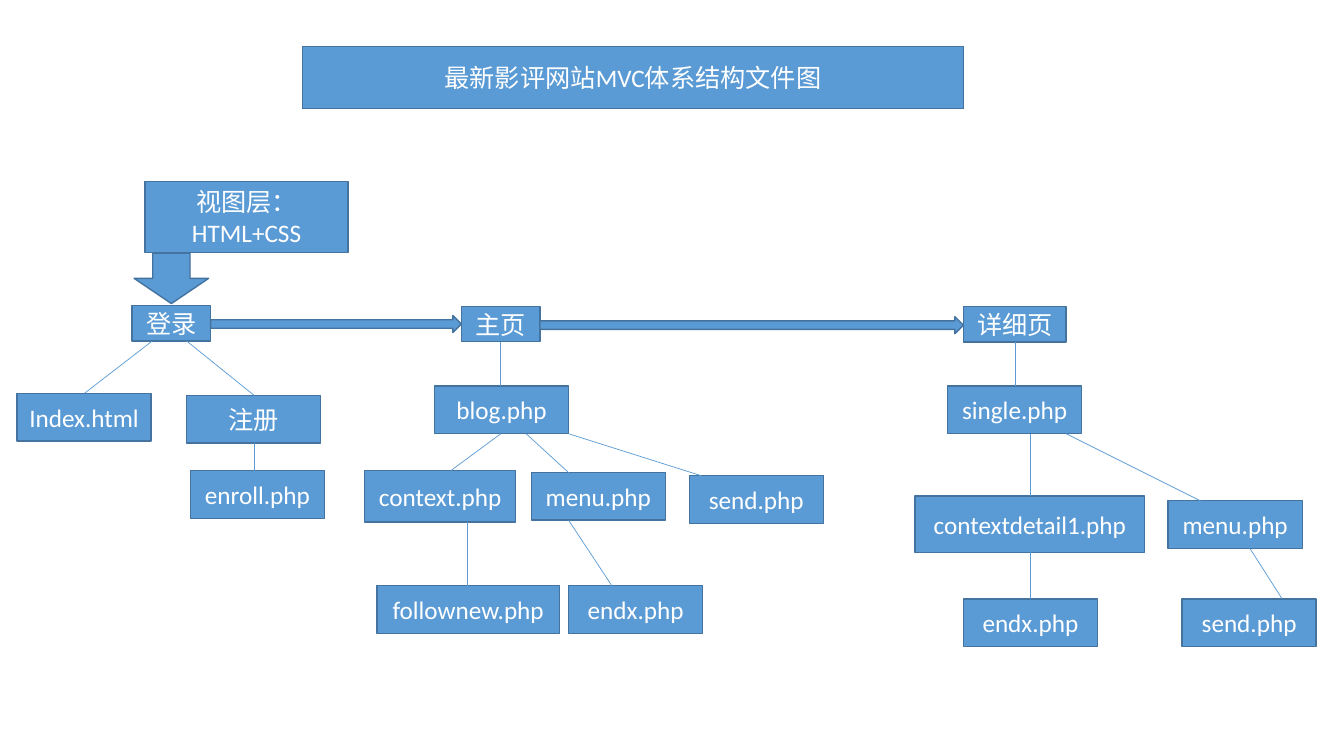
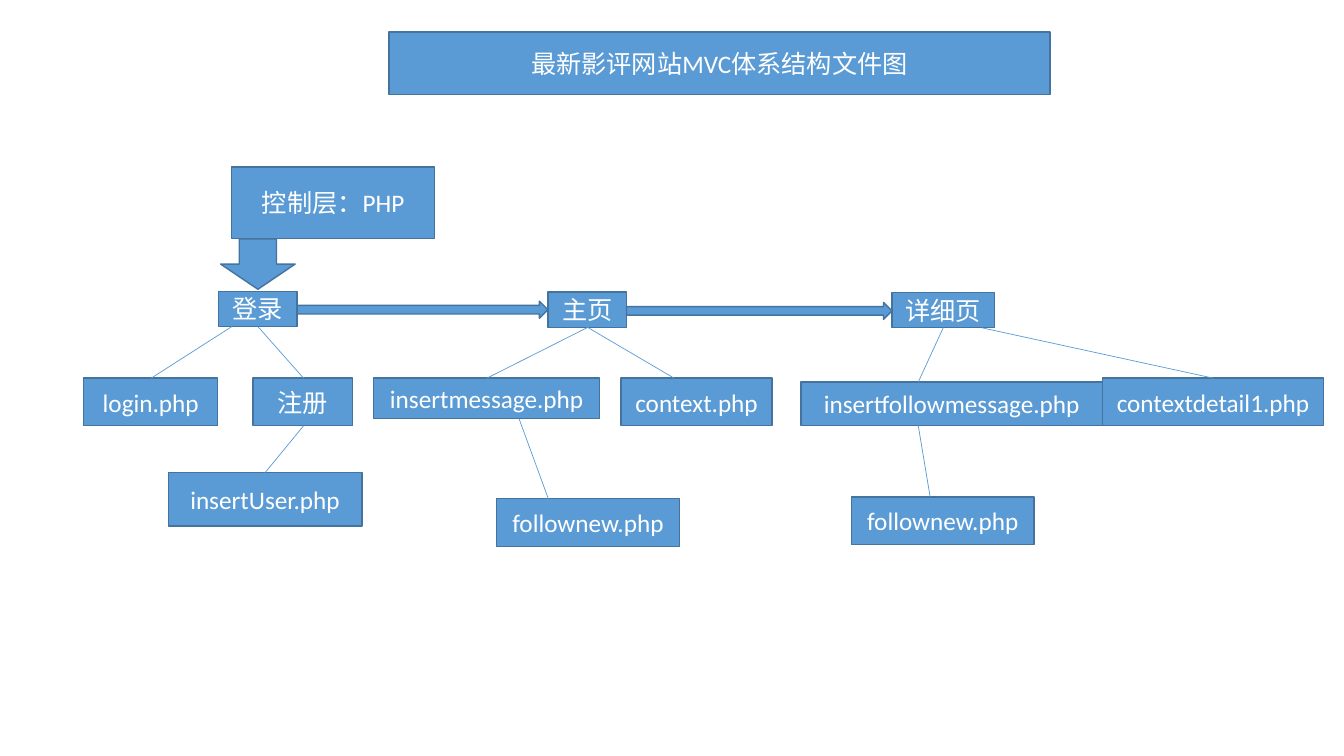
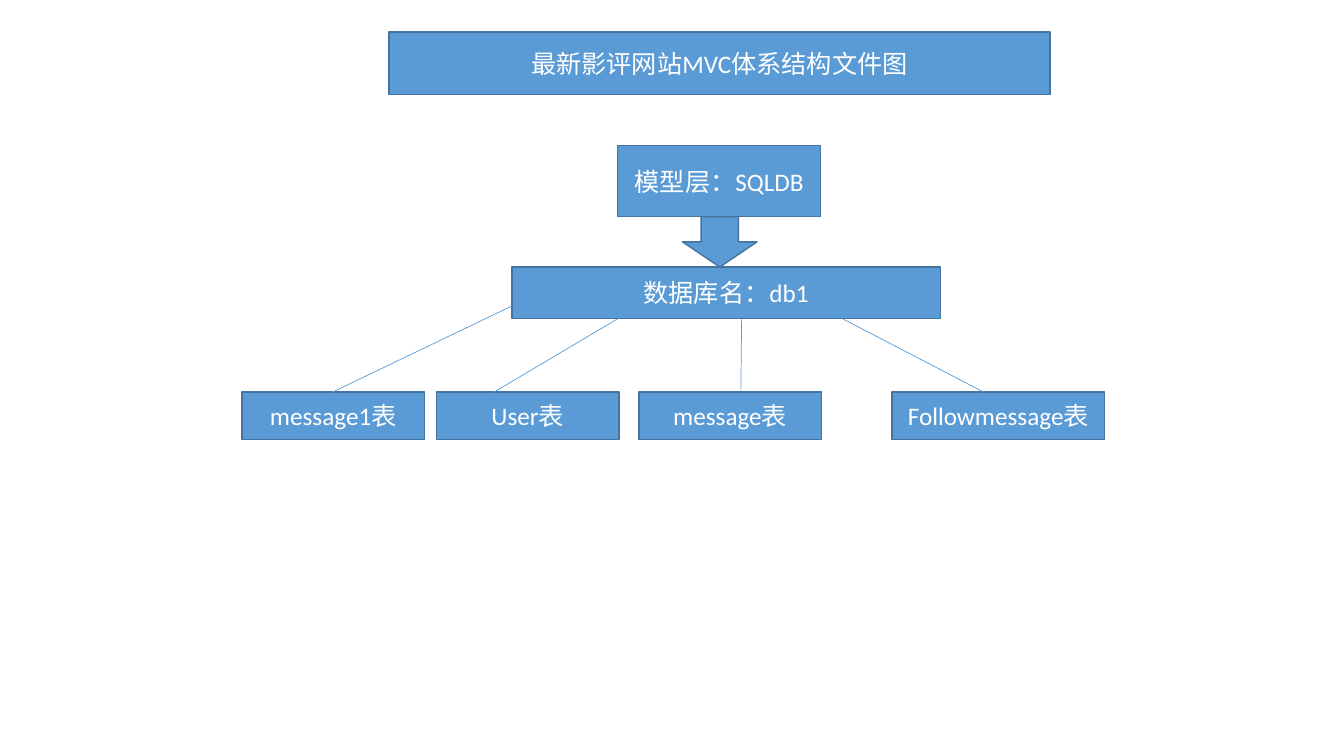
from lxml import etree
from pptx import Presentation
from pptx.dml.color import RGBColor
from pptx.enum.shapes import MSO_CONNECTOR, MSO_SHAPE
from pptx.enum.text import MSO_ANCHOR, PP_ALIGN
from pptx.oxml.ns import qn
from pptx.util import Cm, Pt

RECTANGLE = MSO_SHAPE.RECTANGLE
DOWN_ARROW = MSO_SHAPE.DOWN_ARROW
RIGHT_ARROW = MSO_SHAPE.RIGHT_ARROW
STRAIGHT = MSO_CONNECTOR.STRAIGHT
CENTER = PP_ALIGN.CENTER
MIDDLE = MSO_ANCHOR.MIDDLE

# Shared look; all lengths are in centimetres
BLUE, EDGE, WHITE = "5B9BD5", "43739E", "FFFFFF"
FONT = "Calibri"
TITLE = "最新影评网站MVC体系结构文件图"
TITLE_W, TITLE_H = 16.66, 1.57
LAYER_W, LAYER_H = 5.11, 1.8
PAGE_W, PAGE_H = 1.98, 0.89
FILE_W, FILE_H = 3.38, 1.2
WIDE_W = 4.6
DOWN_W, DOWN_H = 1.88, 1.27
FLOW_H = 0.43


def color(value):
    return RGBColor.from_string(value)


def block(slide, kind, x, y, width, height):
    """Blue shape with a darker outline."""
    shape = slide.shapes.add_shape(kind, Cm(x), Cm(y), Cm(width), Cm(height))
    shape.shadow.inherit = False
    shape.fill.solid()
    shape.fill.fore_color.rgb = color(BLUE)
    shape.line.color.rgb = color(EDGE)
    shape.line.width = Pt(1)
    return shape


def box(slide, text, x, y, width=FILE_W, height=FILE_H):
    """Rectangle with a centred white label."""
    shape = block(slide, RECTANGLE, x, y, width, height)
    frame = shape.text_frame
    frame.word_wrap = True
    frame.vertical_anchor = MIDDLE
    label = frame.paragraphs[0]
    label.text = text
    label.alignment = CENTER
    label.font.name = FONT
    label.font.size = Pt(18)
    label.font.color.rgb = color(WHITE)
    return shape


def line(slide, x1, y1, x2, y2):
    connector = slide.shapes.add_connector(STRAIGHT, x1, y1, x2, y2)
    connector.line.color.rgb = color(BLUE)
    connector.line.width = Pt(0.5)
    etree.SubElement(connector._element.spPr, qn("a:effectLst"))


def link(slide, parent, child, x1, x2):
    """Line from the bottom edge of parent to the top edge of child."""
    line(slide, Cm(x1), parent.top + parent.height, Cm(x2), child.top)


def flow_arrow(slide, start, end, y):
    """Block arrow filling the gap between two pages."""
    left = (start.left + start.width) / Cm(1)
    block(slide, RIGHT_ARROW, left, y, end.left / Cm(1) - left, FLOW_H)


def title_box(slide, x, y):
    box(slide, TITLE, x, y, TITLE_W, TITLE_H)


def page_flow(slide, x, y, layer, detail_x):
    """Title, layer and the three pages, placed relative to the title."""
    title_box(slide, x, y)
    box(slide, layer, x - 3.96, y + 3.4, LAYER_W, LAYER_H)
    block(slide, DOWN_ARROW, x - 4.24, y + 5.21, DOWN_W, DOWN_H)
    login = box(slide, "登录", x - 4.29, y + 6.53, PAGE_W, PAGE_H)
    home = box(slide, "主页", x + 4.01, y + 6.55, PAGE_W, PAGE_H)
    detail = box(slide, "详细页", detail_x, y + 6.56, 2.59, PAGE_H)
    flow_arrow(slide, login, home, y + 6.78)
    flow_arrow(slide, home, detail, y + 6.81)
    return login, home, detail


def view_slide(slide):
    login, home, detail = page_flow(slide, 7.62, 1.17, "视图层：HTML+CSS", 24.28)

    # Login files
    index = box(slide, "Index.html", 0.43, 9.91)
    register = box(slide, "注册", 4.7, 9.96)
    enroll = box(slide, "enroll.php", 4.8, 11.86)

    # Home page files
    blog = box(slide, "blog.php", 10.95, 9.73)
    context = box(slide, "context.php", 9.19, 11.86, 3.81, 1.3)
    home_menu = box(slide, "menu.php", 13.39, 11.91)
    home_send = box(slide, "send.php", 17.37, 11.99)
    follow = box(slide, "follownew.php", 9.5, 14.76, WIDE_W)
    home_end = box(slide, "endx.php", 14.33, 14.76)

    # Detail page files
    single = box(slide, "single.php", 23.88, 9.73)
    context_detail = box(slide, "contextdetail1.php", 23.06, 12.5, 5.79, 1.42)
    detail_menu = box(slide, "menu.php", 29.44, 12.62)
    detail_end = box(slide, "endx.php", 24.28, 15.09)
    detail_send = box(slide, "send.php", 29.79, 15.09)

    for parent, child, x1, x2 in (
        (login, index, 3.84, 2.13),
        (login, register, 4.7, 6.4),
        (register, enroll, 6.4, 6.4),
        (home, blog, 12.62, 12.62),
        (blog, context, 12.62, 11.36),
        (blog, home_menu, 13.26, 14.33),
        (blog, home_send, 14.33, 17.68),
        (context, follow, 11.79, 11.79),
        (home_menu, home_end, 14.33, 15.42),
        (detail, single, 25.58, 25.58),
        (single, context_detail, 25.96, 25.96),
        (single, detail_menu, 26.87, 30.25),
        (context_detail, detail_end, 25.96, 25.96),
        (detail_menu, detail_send, 31.5, 32.31),
    ):
        link(slide, parent, child, x1, x2)


def control_slide(slide):
    login, home, detail = page_flow(slide, 9.8, 0.81, "控制层：PHP", 22.48)
    row_y = 9.53

    # Login files
    login_file = box(slide, "login.php", 2.11, row_y)
    register = box(slide, "注册", 6.38, row_y, 2.51)
    insert_user = box(slide, "insertUser.php", 4.24, 11.91, 4.88, 1.35)

    # Home page files
    insert_message = box(slide, "insertmessage.php", 9.42, row_y, 5.69, 1.02)
    context = box(slide, "context.php", 15.65, row_y, 3.81)
    home_follow = box(slide, "follownew.php", 12.52, 12.57, WIDE_W)

    # Detail page files
    insert_follow = box(slide, "insertfollowmessage.php", 20.19, 9.63, 7.59, 1.09)
    context_detail = box(slide, "contextdetail1.php", 27.79, row_y, 5.56)
    detail_follow = box(slide, "follownew.php", 21.46, 12.52, WIDE_W)

    for parent, child, x1, x2 in (
        (login, login_file, 5.84, 3.81),
        (login, register, 6.5, 7.65),
        (register, insert_user, 7.65, 6.68),
        (home, insert_message, 14.81, 12.27),
        (home, context, 14.81, 16.99),
        (insert_message, home_follow, 13.08, 13.82),
        (detail, insert_follow, 23.77, 23.14),
        (detail, context_detail, 24.74, 30.58),
        (insert_follow, detail_follow, 23.14, 23.44),
    ):
        link(slide, parent, child, x1, x2)


def model_slide(slide):
    title_box(slide, 9.8, 0.81)
    box(slide, "模型层：SQLDB", 15.57, 3.66, LAYER_W, LAYER_H)
    block(slide, DOWN_ARROW, 17.2, 5.46, DOWN_W, DOWN_H)
    database = box(slide, "数据库名：db1", 12.9, 6.73, 10.8, 1.3)

    # Database tables
    row_y = 9.88
    message1 = box(slide, "message1表", 6.1, row_y, WIDE_W)
    user = box(slide, "User表", 11, row_y, WIDE_W)
    message = box(slide, "message表", 16.1, row_y, WIDE_W)
    follow = box(slide, "Followmessage表", 22.48, row_y, 5.36)

    # The first table hangs from the left side of the database
    line(slide, database.left, Cm(7.71), Cm(8.38), message1.top)
    link(slide, database, user, 15.57, 12.45)
    link(slide, database, message, 18.69, 18.67)
    link(slide, database, follow, 21.23, 24.79)


def main():
    deck = Presentation()
    deck.slide_width, deck.slide_height = Cm(33.87), Cm(19.05)
    blank = deck.slide_layouts[6]
    for build in (view_slide, control_slide, model_slide):
        build(deck.slides.add_slide(blank))
    deck.save("out.pptx")


if __name__ == "__main__":
    main()
